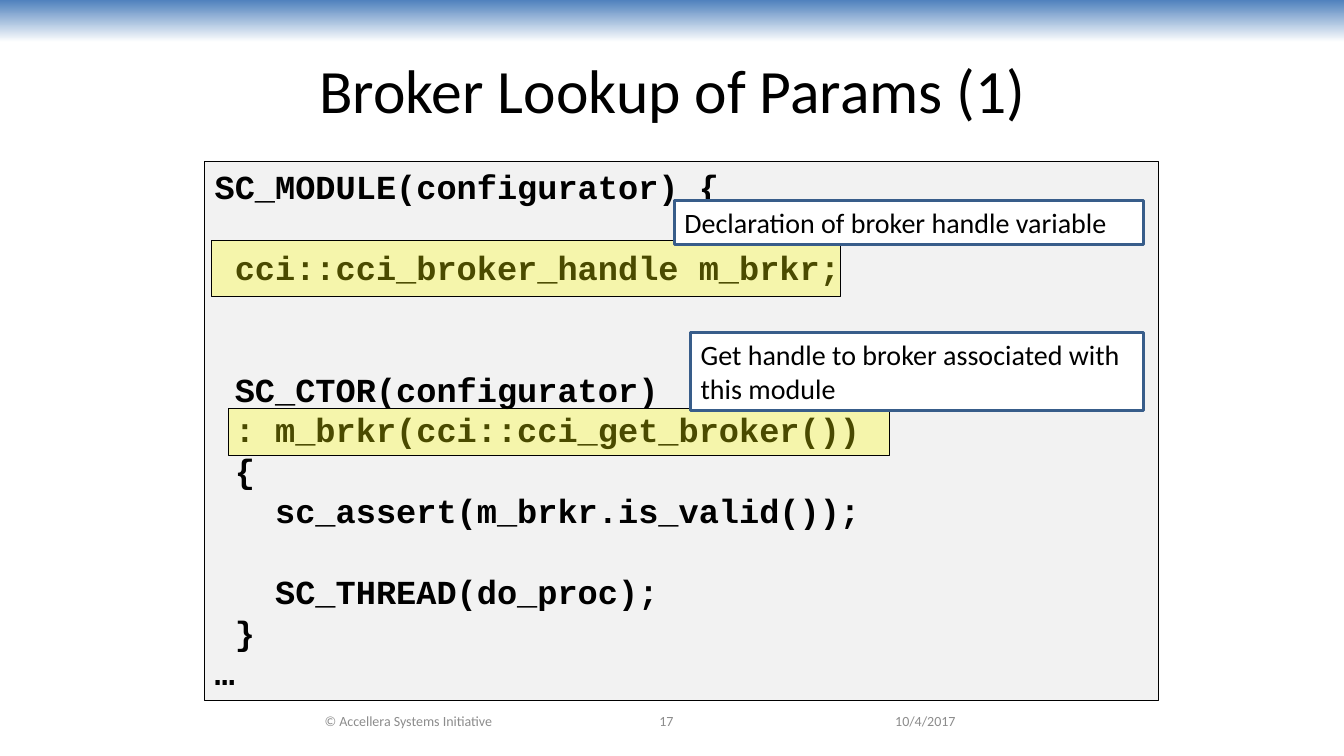
from pptx import Presentation
from pptx.dml.color import RGBColor
from pptx.enum.shapes import MSO_SHAPE
from pptx.enum.text import MSO_ANCHOR, PP_ALIGN
from pptx.oxml.ns import qn
from pptx.util import Inches, Pt
from lxml import etree

RECT = MSO_SHAPE.RECTANGLE
TOP, MID = MSO_ANCHOR.TOP, MSO_ANCHOR.MIDDLE
LEFT, CENTER = PP_ALIGN.LEFT, PP_ALIGN.CENTER
WIDE, HIGH = Inches(13.33), Inches(7.5)
PITCH = 28.9  # points from one code line to the next

HEAD = dict(name="Calibri", size=Pt(44), bold=False)
CODE = dict(name="Courier New", size=Pt(24), bold=True)
NOTE = dict(name="Calibri", size=Pt(20))
FOOT = dict(name="Calibri", size=Pt(10))

SOURCE = """SC_MODULE(configurator) {

 cci::cci_broker_handle m_brkr;


 SC_CTOR(configurator)
 : m_brkr(cci::cci_get_broker())
 {
   sc_assert(m_brkr.is_valid());

   SC_THREAD(do_proc);
 }
…"""

# Boxes are left, top, width, height in percent of the slide
MARKS = [(15.75, 31.87, 46.81, 7.33), (17.03, 54, 49.14, 6.27)]
NOTES = [
    ("Get handle to broker associated with this module",
     (51.39, 44, 33.68, 10.27)),
    ("Declaration of broker handle variable",
     (50.19, 26.53, 34.88, 5.87)),
]
FEET = [
    ("17", 39.98, 19.2, CENTER),
    ("10/4/2017", 65.87, 11.7, LEFT),
    ("© Accellera Systems Initiative", 18.3, 24.16, CENTER),
]


def rgb(code):
    return RGBColor.from_string(code)


def place(box):
    sides = (WIDE, HIGH, WIDE, HIGH)
    return [round(part * side / 100) for part, side in zip(box, sides)]


def style(par, look, color, align):
    par.alignment = align
    for key, value in look.items():
        setattr(par.font, key, value)
    par.font.color.rgb = rgb(color)


def write(shape, text, look, color="000000", align=LEFT, anchor=TOP):
    frame = shape.text_frame
    frame.word_wrap = True
    frame.vertical_anchor = anchor
    frame.text = text
    for par in frame.paragraphs:
        style(par, look, color, align)


def panel(slide, box, fill, line=None, width=1, alpha=None):
    shape = slide.shapes.add_shape(RECT, *place(box))
    shape.shadow.inherit = False
    shape.fill.solid()
    shape.fill.fore_color.rgb = rgb(fill)
    if alpha:
        tint = shape.fill._xPr.find(".//" + qn("a:srgbClr"))
        etree.SubElement(tint, qn("a:alpha")).set("val", str(alpha * 1000))
    if line:
        shape.line.color.rgb = rgb(line)
        shape.line.width = Pt(width)
    else:
        shape.line.fill.background()
    return shape


def band(slide):
    fill = panel(slide, (0, 0, 100, 5.6), "4F81BD").fill
    fill.gradient()
    fill.gradient_angle = 270
    for stop, color in zip(fill.gradient_stops, ("4F81BD", "FFFFFF")):
        stop.color.rgb = rgb(color)


def title(slide, text):
    head = slide.shapes.title
    head.left, head.top, head.width, head.height = place(
        (19.5, 3.47, 61.14, 16.67))
    write(head, text, HEAD, align=CENTER, anchor=MID)


def listing(slide):
    shape = panel(slide, (15.23, 21.33, 70.97, 71.33), "F2F2F2", "000000")
    lines = SOURCE.split("\n")
    write(shape, "\n".join(line for line in lines if line), CODE)
    pars = iter(shape.text_frame.paragraphs)
    gap = 0
    for line in lines:
        if not line:
            gap += 1
            continue
        par = next(pars)
        par.line_spacing = Pt(PITCH)
        par.space_before = Pt(gap * PITCH)
        gap = 0


def main():
    deck = Presentation()
    deck.slide_width, deck.slide_height = WIDE, HIGH
    slide = deck.slides.add_slide(deck.slide_layouts[5])

    # Top band and title
    band(slide)
    title(slide, "Broker Lookup of Params (1)")

    # Code with marked lines
    listing(slide)
    for box in MARKS:
        panel(slide, box, "FFFF00", "000000", 0.75, alpha=29)

    # Notes on the code
    for text, box in NOTES:
        write(panel(slide, box, "FFFFFF", "385D8A", 2), text, NOTE)

    # Footer
    for text, left, width, align in FEET:
        shape = slide.shapes.add_textbox(*place((left, 92.67, width, 5.33)))
        write(shape, text, FOOT, "8C8C8C", align, MID)

    deck.save("out.pptx")


if __name__ == "__main__":
    main()
